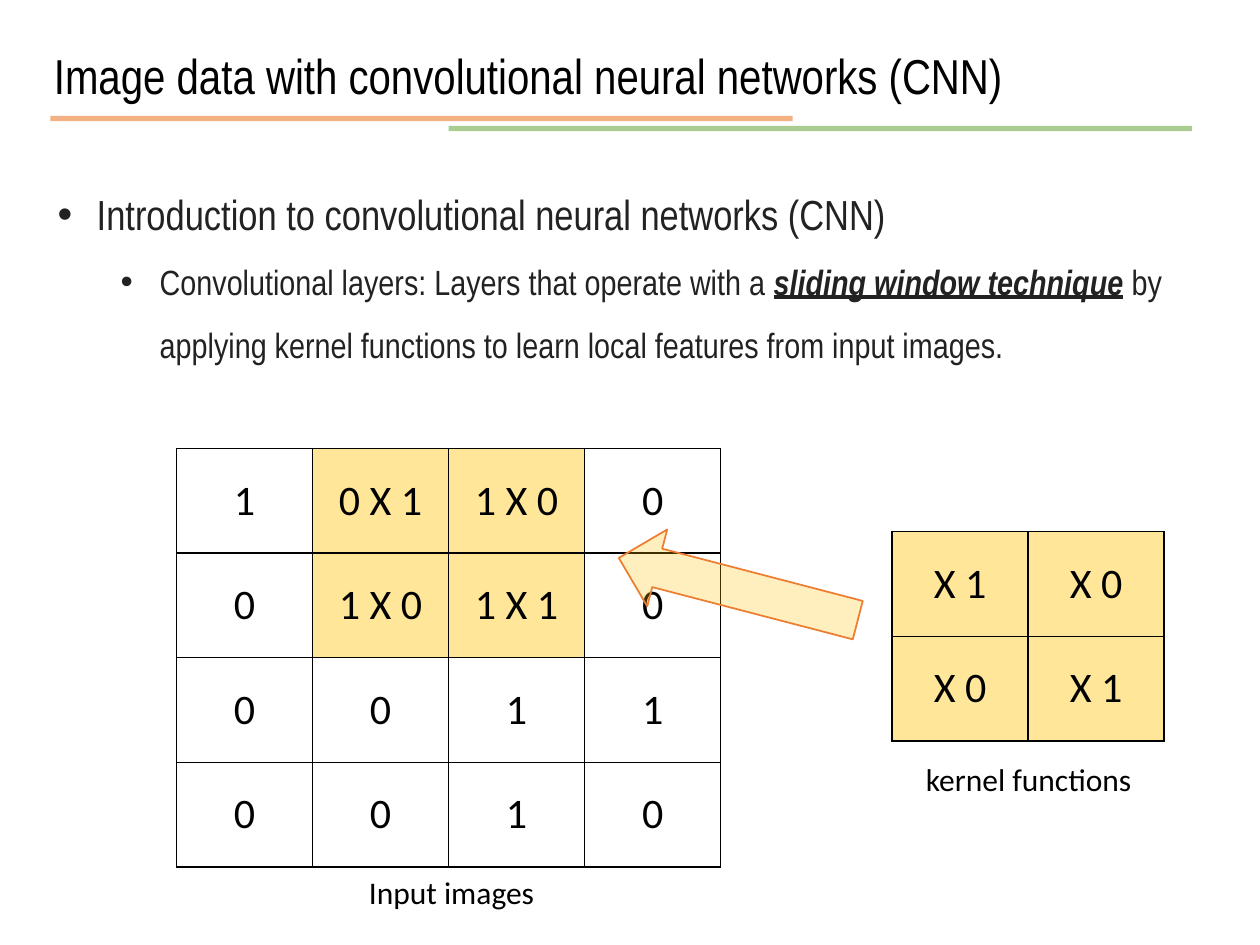
from typing import NamedTuple

from lxml import etree
from pptx import Presentation
from pptx.dml.color import RGBColor
from pptx.enum.shapes import MSO_CONNECTOR, MSO_SHAPE
from pptx.enum.text import MSO_ANCHOR, PP_ALIGN
from pptx.oxml.ns import qn
from pptx.util import Inches, Pt

STRAIGHT = MSO_CONNECTOR.STRAIGHT
LEFT_ARROW = MSO_SHAPE.LEFT_ARROW
MIDDLE = MSO_ANCHOR.MIDDLE
CENTER = PP_ALIGN.CENTER

NARROW, BODY = "Arial Narrow", "Calibri"
BLACK, DARK, ORANGE, GREEN = "000000", "222222", "ED7D31", "70AD47"
WINDOW_FILL, ARROW_FILL = "FFE699", "FFC000"
CELL_WIDTH, CELL_HEIGHT = 1.08, 0.83


class Span(NamedTuple):
    text: str
    emphasis: bool = False


class Para(NamedTuple):
    spans: list[Span]
    size: float
    font: str = BODY
    color: str = BLACK
    level: int = 0
    spacing: float = 1.0
    bullet_indent: float | None = None


class TextBox(NamedTuple):
    left: float
    top: float
    width: float
    height: float
    paras: list[Para]


class Rule(NamedTuple):
    left: float
    right: float
    top: float
    color: str


class Grid(NamedTuple):
    left: float
    top: float
    rows: list[list[str]]


RULES = [Rule(0.4, 6.29, 0.94, ORANGE), Rule(3.56, 9.46, 1.02, GREEN)]

TITLE = Para([Span("Image data with convolutional neural networks (CNN)")],
             28, NARROW, spacing=1.5)
INTRODUCTION = Para([Span("Introduction to convolutional neural networks (CNN)")],
                    24, NARROW, DARK, spacing=1.5, bullet_indent=0.31)
LAYERS = Para([Span("Convolutional layers: Layers that operate with a "),
               Span("sliding window technique", True),
               Span(" by applying kernel functions to learn local features "
                    "from input images.")],
              20, NARROW, DARK, level=1, spacing=1.5, bullet_indent=0.81)
TEXT_BOXES = [
    TextBox(0.36, 1.25, 9.56, 2.11, [INTRODUCTION, LAYERS]),
    TextBox(0.33, 0.08, 9.34, 0.72, [TITLE]),
    TextBox(2.83, 6.88, 1.99, 0.4, [Para([Span("Input images")], 18)]),
    TextBox(7.25, 5.98, 1.99, 0.4, [Para([Span("kernel functions")], 18)]),
]

# Cells that hold a product lie under the sliding window.
GRIDS = [
    Grid(1.4, 3.56, [["1", "0 X 1", "1 X 0", "0"],
                     ["0", "1 X 0", "1 X 1", "0"],
                     ["0", "0", "1", "1"],
                     ["0", "0", "1", "0"]]),
    Grid(7.08, 4.22, [["X 1", "X 0"], ["X 0", "X 1"]]),
]


def paint(color_format, color: str) -> None:
    color_format.rgb = RGBColor.from_string(color)


def set_opacity(shape, parent: str, percent: int) -> None:
    """Set the opacity of the solid colour below the given spPr child."""
    fill = shape._element.spPr.find(parent)
    color = next(fill.iter(qn("a:srgbClr")))
    etree.SubElement(color, qn("a:alpha"), val=str(percent * 1000))


def write_para(para, content: Para) -> None:
    para.level = content.level
    para.line_spacing = content.spacing
    if content.bullet_indent is not None:
        properties = para._p.get_or_add_pPr()
        properties.set("marL", str(Inches(content.bullet_indent)))
        properties.set("indent", str(Inches(-0.31)))
        etree.SubElement(properties, qn("a:buFont"), typeface="Arial")
        etree.SubElement(properties, qn("a:buChar"), char="•")
    for span in content.spans:
        run = para.add_run()
        run.text = span.text
        font = run.font
        font.name, font.size = content.font, Pt(content.size)
        font.bold = font.italic = font.underline = span.emphasis
        paint(font.color, content.color)


def draw_text(page, box: TextBox) -> None:
    shape = page.shapes.add_textbox(Inches(box.left), Inches(box.top),
                                    Inches(box.width), Inches(box.height))
    frame = shape.text_frame
    frame.word_wrap = True
    for index, content in enumerate(box.paras):
        write_para(frame.add_paragraph() if index else frame.paragraphs[0], content)


def draw_rule(page, rule: Rule) -> None:
    line = page.shapes.add_connector(STRAIGHT, Inches(rule.left), Inches(rule.top),
                                     Inches(rule.right), Inches(rule.top))
    line.line.width = Pt(3)
    paint(line.line.color, rule.color)
    set_opacity(line, qn("a:ln"), 60)
    etree.SubElement(line._element.spPr, qn("a:effectLst"))


def add_borders(cell) -> None:
    properties = cell._tc.get_or_add_tcPr()
    for side in ("lnL", "lnR", "lnT", "lnB"):
        border = etree.SubElement(properties, qn(f"a:{side}"), w=str(Pt(1)))
        fill = etree.SubElement(border, qn("a:solidFill"))
        etree.SubElement(fill, qn("a:srgbClr"), val=BLACK)


def draw_grid(page, grid: Grid) -> None:
    row_count, column_count = len(grid.rows), len(grid.rows[0])
    table = page.shapes.add_table(
        row_count, column_count, Inches(grid.left), Inches(grid.top),
        Inches(CELL_WIDTH * column_count), Inches(CELL_HEIGHT * row_count)).table
    table.first_row = table.horz_banding = False
    for row_index, row in enumerate(grid.rows):
        for column_index, text in enumerate(row):
            cell = table.cell(row_index, column_index)
            cell.vertical_anchor = MIDDLE
            add_borders(cell)
            if "X" in text:
                cell.fill.solid()
                paint(cell.fill.fore_color, WINDOW_FILL)
            else:
                cell.fill.background()
            para = cell.text_frame.paragraphs[0]
            para.alignment = CENTER
            write_para(para, Para([Span(text)], 24))


def draw_arrow(page) -> None:
    arrow = page.shapes.add_shape(LEFT_ARROW, Inches(4.88), Inches(4.36),
                                  Inches(1.96), Inches(0.63))
    arrow.rotation = 14.6
    arrow.shadow.inherit = False
    arrow.fill.solid()
    paint(arrow.fill.fore_color, ARROW_FILL)
    set_opacity(arrow, qn("a:solidFill"), 25)
    arrow.line.width = Pt(1)
    paint(arrow.line.color, ORANGE)


def main() -> None:
    deck = Presentation()
    deck.slide_width, deck.slide_height = Inches(10), Inches(7.5)
    page = deck.slides.add_slide(deck.slide_layouts[6])
    for rule in RULES:
        draw_rule(page, rule)
    for box in TEXT_BOXES:
        draw_text(page, box)
    for grid in GRIDS:
        draw_grid(page, grid)
    draw_arrow(page)
    deck.save("out.pptx")


if __name__ == "__main__":
    main()
